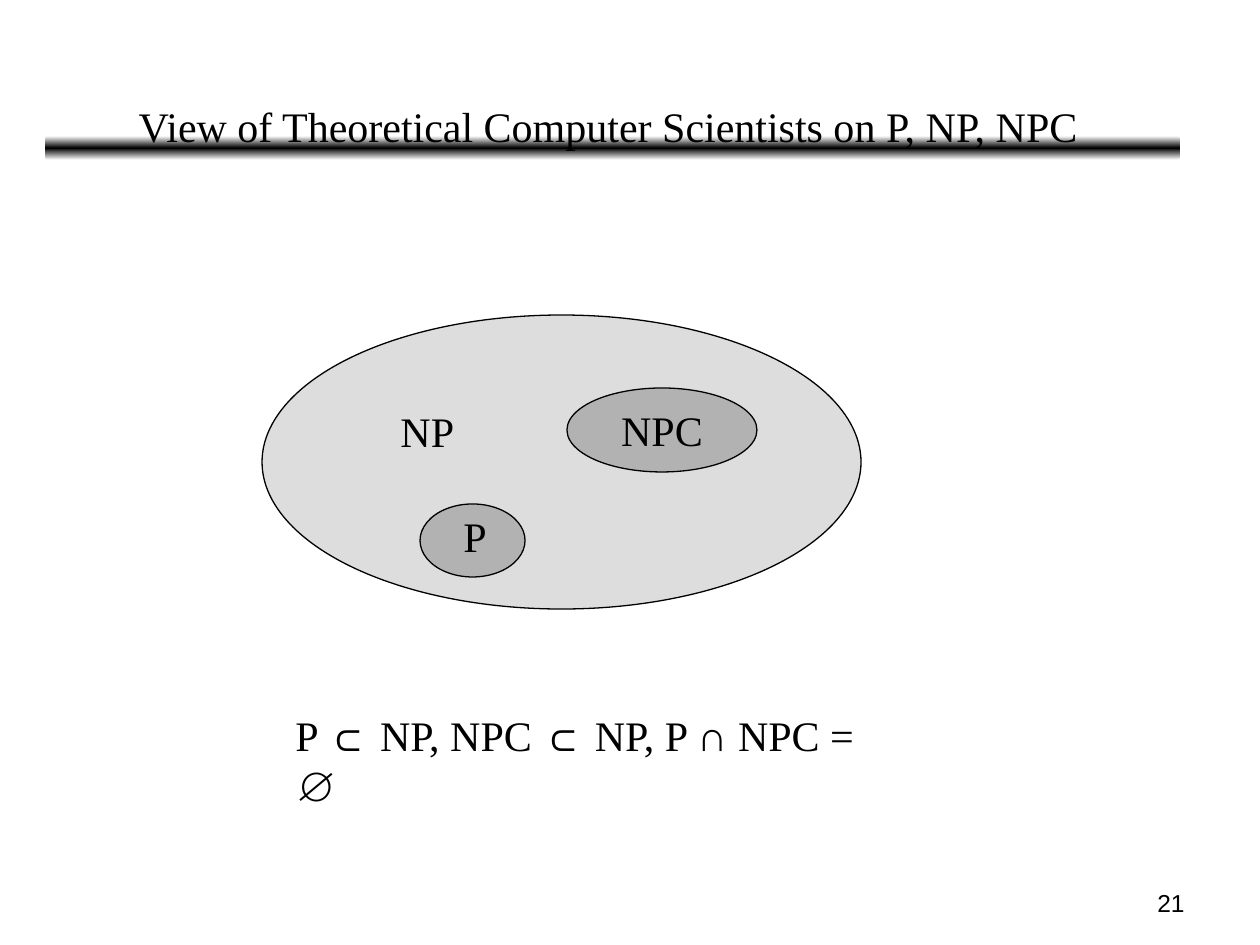
"""Build the slide on how theoretical computer scientists see P, NP and NPC."""
from copy import deepcopy

from pptx import Presentation
from pptx import util as u
from pptx.dml.color import RGBColor
from pptx.enum import shapes, text
from pptx.oxml.ns import qn

PX_PER_INCH = 126
SLIDE_SIZE = (1260, 945)
SERIF, SANS = "Times New Roman", "Arial"
BLACK, WHITE, PALE, GREY = "000000", "FFFFFF", "DDDDDD", "B2B2B2"

TITLE = ("View of Theoretical Computer Scientists on P, NP, NPC", (126, 94, 977, 63))
RULE = ((45, 136, 1135, 24), [(0, WHITE), (0.5, BLACK), (1, WHITE)])
SETS = [
    ((262, 315, 599, 294), PALE, ""),
    ((567, 388, 190, 84), GREY, "NPC"),
    ((420, 504, 105, 73), GREY, ""),
]
LABELS = [
    ("P", (451, 504, 49, 63), SERIF, 24, "LEFT"),
    ("NP", (388, 399, 79, 63), SERIF, 24, "LEFT"),
    ("P ⊂ NP, NPC ⊂ NP, P ∩ NPC = ∅", (283, 703, 620, 63), SERIF, 24, "LEFT"),
    ("21", (903, 882, 294, 44), SANS, 14, "RIGHT"),
]


def px(length):
    return u.Emu(round(length * u.Inches(1) / PX_PER_INCH))


def box(bounds):
    return [px(length) for length in bounds]


def colour(value):
    return RGBColor.from_string(value)


def write(frame, words, font, size, align, anchor="TOP"):
    frame.word_wrap = True
    frame.auto_size = text.MSO_AUTO_SIZE.NONE
    frame.vertical_anchor = text.MSO_ANCHOR[anchor]
    paragraph = frame.paragraphs[0]
    paragraph.alignment = text.PP_ALIGN[align]
    run = paragraph.add_run()
    run.text = words
    run.font.name = font
    run.font.size = u.Pt(size)
    run.font.color.rgb = colour(BLACK)


def add_rule(slide, bounds, stops):
    rule = slide.shapes.add_shape(shapes.MSO_SHAPE.ROUNDED_RECTANGLE, *box(bounds))
    rule.shadow.inherit = False
    rule.line.fill.background()
    rule.fill.gradient()
    rule.fill.gradient_angle = 90
    stop_list = rule._element.spPr.find(".//" + qn("a:gsLst"))
    stop_list.insert(1, deepcopy(stop_list[0]))
    for stop, (position, value) in zip(rule.fill.gradient_stops, stops):
        stop.position = position
        stop.color.rgb = colour(value)
    return rule


def add_set(slide, bounds, fill, name):
    ellipse = slide.shapes.add_shape(shapes.MSO_SHAPE.OVAL, *box(bounds))
    ellipse.shadow.inherit = False
    ellipse.fill.solid()
    ellipse.fill.fore_color.rgb = colour(fill)
    ellipse.line.color.rgb = colour(BLACK)
    ellipse.line.width = u.Pt(0.75)
    if name:
        write(ellipse.text_frame, name, SERIF, 24, "CENTER", "MIDDLE")


def main():
    deck = Presentation()
    deck.slide_width, deck.slide_height = box(SLIDE_SIZE)
    slide = deck.slides.add_slide(deck.slide_layouts[5])

    rule = add_rule(slide, *RULE)
    words, bounds = TITLE
    title = slide.shapes.title
    title.left, title.top, title.width, title.height = box(bounds)
    write(title.text_frame, words, SERIF, 24, "LEFT")
    rule._element.addnext(title._element)

    for region in SETS:
        add_set(slide, *region)
    for words, bounds, *style in LABELS:
        write(slide.shapes.add_textbox(*box(bounds)).text_frame, words, *style)
    deck.save("out.pptx")


if __name__ == "__main__":
    main()
